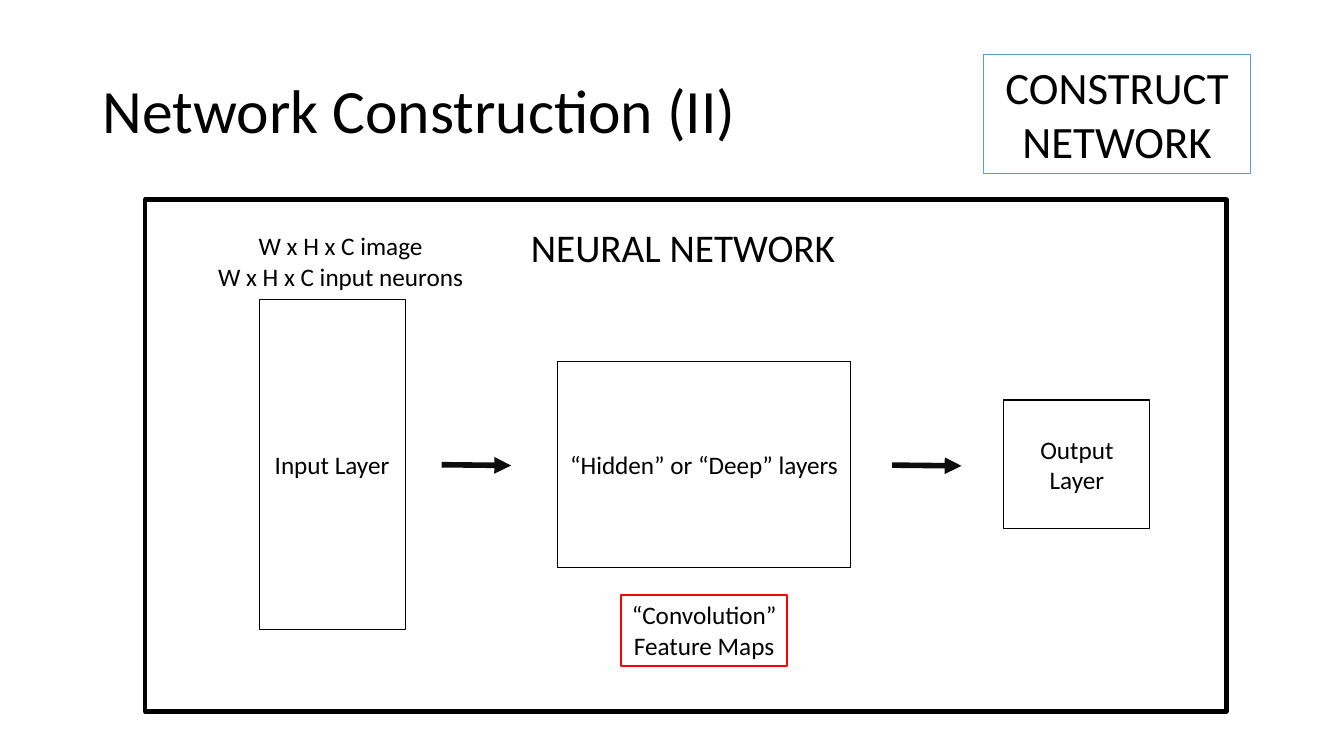
from dataclasses import dataclass
from typing import Optional

from lxml.etree import SubElement
from pptx import Presentation
from pptx.dml.color import RGBColor
from pptx.enum.shapes import MSO_CONNECTOR, MSO_SHAPE
from pptx.enum.text import MSO_ANCHOR, PP_ALIGN
from pptx.oxml.ns import qn
from pptx.slide import Slide
from pptx.util import Cm, Pt

FONT = "Calibri"
COLOURS = {
    "black": "000000",
    "arrow": "0D0D0D",
    "blue": "5B9BD5",
    "red": "FF0000",
}


@dataclass
class Box:
    """A text block, outlined when it has an outline colour; lengths in cm."""
    left: float
    top: float
    width: float
    height: float
    lines: tuple[str, ...] = ()
    size: float = 18
    outline: Optional[str] = "black"
    weight: float = 0.75
    align: PP_ALIGN = PP_ALIGN.CENTER
    anchor: MSO_ANCHOR = MSO_ANCHOR.MIDDLE
    wrap: bool = True
    spacing: float = 1.0


@dataclass
class Arrow:
    start_x: float
    start_y: float
    end_x: float
    end_y: float


BOXES = [
    Box(2.34, 1.02, 29.21, 3.68, ("Network Construction (II)",), size=44,
        outline=None, align=PP_ALIGN.LEFT, spacing=0.9),
    Box(24.79, 1.37, 6.73, 3, ("CONSTRUCT NETWORK",), size=32, outline="blue"),
    Box(3.66, 5.03, 27.25, 12.9, weight=3),
    Box(13.13, 5.51, 8.31, 1.45, ("NEURAL NETWORK",), size=28, outline=None,
        align=PP_ALIGN.LEFT, anchor=MSO_ANCHOR.TOP),
    Box(6.53, 7.54, 3.68, 8.33, ("Input Layer",)),
    Box(14.05, 9.12, 7.39, 5.18, ("“Hidden” or “Deep” layers",)),
    Box(25.3, 10.08, 3.68, 3.23, ("Output Layer",)),
    Box(5.18, 5.69, 6.81, 1.8, ("W x H x C image", "W x H x C input neurons"),
        outline=None, anchor=MSO_ANCHOR.TOP),
    Box(15.65, 14.99, 4.19, 1.8, ("“Convolution”", "Feature Maps"),
        outline="red", weight=1.5, anchor=MSO_ANCHOR.TOP, wrap=False),
]
ARROWS = [
    Arrow(11.13, 11.71, 12.88, 11.73),
    Arrow(22.48, 11.72, 24.23, 11.74),
]


def colour(name: str) -> RGBColor:
    return RGBColor.from_string(COLOURS[name])


def draw_box(page: Slide, box: Box) -> None:
    place = [Cm(n) for n in (box.left, box.top, box.width, box.height)]
    if box.outline is None:
        shape = page.shapes.add_textbox(*place)
    else:
        shape = page.shapes.add_shape(MSO_SHAPE.RECTANGLE, *place)
        shape.shadow.inherit = False
        shape.fill.background()
        shape.line.color.rgb = colour(box.outline)
        shape.line.width = Pt(box.weight)
    frame = shape.text_frame
    frame.word_wrap = box.wrap
    frame.vertical_anchor = box.anchor
    for index, text in enumerate(box.lines):
        para = frame.add_paragraph() if index else frame.paragraphs[0]
        para.alignment = box.align
        para.line_spacing = box.spacing
        span = para.add_run()
        span.text = text
        span.font.name = FONT
        span.font.size = Pt(box.size)
        span.font.color.rgb = colour("black")


def draw_arrow(page: Slide, arrow: Arrow) -> None:
    connector = page.shapes.add_connector(
        MSO_CONNECTOR.STRAIGHT, Cm(arrow.start_x), Cm(arrow.start_y),
        Cm(arrow.end_x), Cm(arrow.end_y))
    connector.line.color.rgb = colour("arrow")
    connector.line.width = Pt(4)
    properties = connector.element.spPr
    SubElement(properties.find(qn("a:ln")), qn("a:tailEnd"), type="triangle")
    SubElement(properties, qn("a:effectLst"))


def main() -> None:
    deck = Presentation()
    deck.slide_width, deck.slide_height = Cm(33.87), Cm(19.05)
    page = deck.slides.add_slide(deck.slide_layouts[6])
    for box in BOXES:
        draw_box(page, box)
    for arrow in ARROWS:
        draw_arrow(page, arrow)
    deck.save("out.pptx")


if __name__ == "__main__":
    main()
